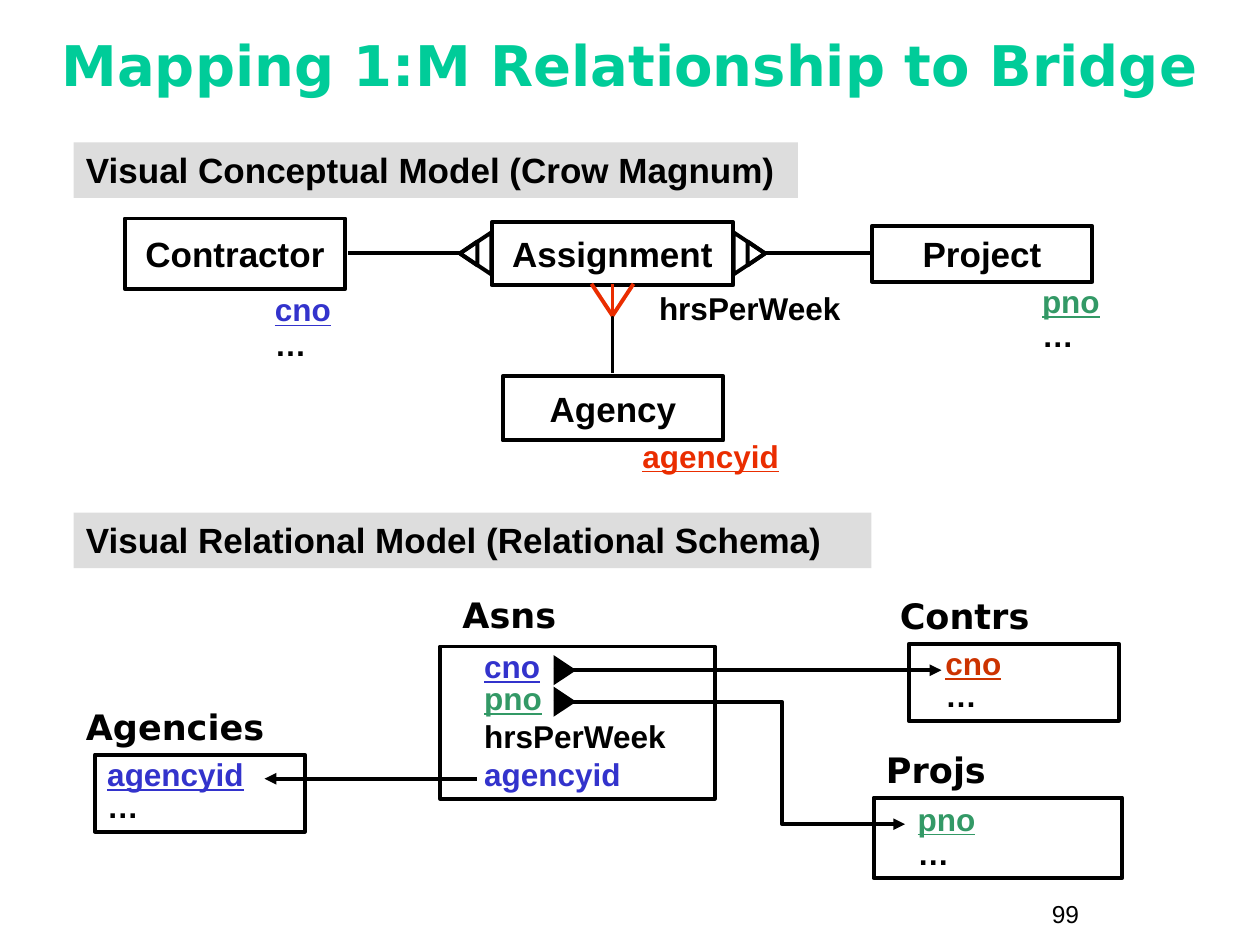
from dataclasses import dataclass

from lxml import etree
from pptx import Presentation
from pptx.dml.color import RGBColor
from pptx.enum.shapes import MSO_CONNECTOR, MSO_SHAPE
from pptx.enum.text import MSO_ANCHOR, MSO_AUTO_SIZE, PP_ALIGN
from pptx.oxml.ns import qn
from pptx.util import Pt

RECTANGLE, TRIANGLE = MSO_SHAPE.RECTANGLE, MSO_SHAPE.ISOSCELES_TRIANGLE
STRAIGHT, ELBOW = MSO_CONNECTOR.STRAIGHT, MSO_CONNECTOR.ELBOW
TOP, MIDDLE = MSO_ANCHOR.TOP, MSO_ANCHOR.MIDDLE
LEFT, CENTER = PP_ALIGN.LEFT, PP_ALIGN.CENTER
TITLE_ONLY = 5


@dataclass(frozen=True)
class Theme:
    """Colours, fonts, type sizes and line width of the slide."""
    title: str = "00CC99"
    ink: str = "000000"
    band: str = "DDDDDD"
    blue: str = "3333CC"
    green: str = "339966"
    red: str = "EA2D00"
    brick: str = "CC3300"
    body_font: str = "Arial"
    display_font: str = "DejaVu Sans"
    title_size: int = 32
    heading_size: int = 20
    attribute_size: int = 18
    number_size: int = 14
    stroke: float = 2.25


THEME = Theme()


def rgb(color):
    """Turn a hex string into a colour."""
    return RGBColor.from_string(color)


def write(frame, paragraphs, size=THEME.attribute_size, font=THEME.body_font, bold=True,
          align=LEFT, anchor=TOP, spacing=1.0, indent=0, wrap=True):
    """Fill a frame with paragraphs, each a list of (text, colour, underlined) runs."""
    frame.auto_size = MSO_AUTO_SIZE.NONE
    frame.word_wrap = wrap
    frame.vertical_anchor = anchor
    frame.margin_left, frame.margin_right = Pt(7.2 + indent), Pt(7.2)
    frame.margin_top = frame.margin_bottom = Pt(3.6)
    for index, runs in enumerate(paragraphs):
        paragraph = frame.add_paragraph() if index else frame.paragraphs[0]
        paragraph.alignment = align
        paragraph.line_spacing = spacing
        for text, color, underlined in runs:
            run = paragraph.add_run()
            run.text = text.rstrip("\n")
            run.font.name, run.font.size = font, Pt(size)
            run.font.bold, run.font.underline = bold, underlined
            run.font.color.rgb = rgb(color)
            if text.endswith("\n"):
                paragraph.add_line_break()


def text_box(slide, box, paragraphs, **text_format):
    """Place a text box and write in it."""
    area = slide.shapes.add_textbox(*map(Pt, box))
    write(area.text_frame, paragraphs, **text_format)


def shape(slide, kind, box, fill=None, line=None):
    """Place a preset shape with an optional fill and outline."""
    item = slide.shapes.add_shape(kind, *map(Pt, box))
    item.shadow.inherit = False
    if fill:
        item.fill.solid()
        item.fill.fore_color.rgb = rgb(fill)
    else:
        item.fill.background()
    if line:
        item.line.color.rgb = rgb(line)
        item.line.width = Pt(THEME.stroke)
    else:
        item.line.fill.background()
    return item


def link(slide, start, end, color=THEME.ink, arrow=False, bend=None):
    """Join two points, bending at a share of the width if one is given."""
    connector = slide.shapes.add_connector(ELBOW if bend else STRAIGHT, *map(Pt, start + end))
    connector.line.color.rgb = rgb(color)
    connector.line.width = Pt(THEME.stroke)
    properties = connector._element.spPr
    if arrow:
        etree.SubElement(properties.find(qn("a:ln")), qn("a:tailEnd"), type="triangle")
    if bend:
        guides = properties.find(qn("a:prstGeom")).get_or_add_avLst()
        etree.SubElement(guides, qn("a:gd"), name="adj1", fmla=f"val {round(bend * 100000)}")
    etree.SubElement(properties, qn("a:effectLst"))


def side_triangle(slide, center, base, height, direction, **paint):
    """Place a triangle pointing right (1) or left (-1) around a centre."""
    x, y = center
    triangle = shape(slide, TRIANGLE, (x - base / 2, y - height / 2, base, height), **paint)
    triangle.rotation = 90 * direction % 360


def crows_foot(slide, tip, direction):
    """Draw a double triangle whose apexes meet near a tip."""
    x, y = tip
    for base, height in ((24, 18), (13.7, 10)):
        center = (x - direction * height / 2, y)
        side_triangle(slide, center, base, height, direction, line=THEME.ink)


def heading(slide, box, caption):
    """Place a grey section heading."""
    band = shape(slide, RECTANGLE, box, fill=THEME.band)
    write(band.text_frame, [[(caption, THEME.ink, False)]], size=THEME.heading_size)


def entity(slide, box, name):
    """Place an outlined entity with its name in the middle."""
    frame = shape(slide, RECTANGLE, box, line=THEME.ink).text_frame
    write(frame, [[(name, THEME.ink, False)]], size=THEME.heading_size,
          align=CENTER, anchor=MIDDLE, wrap=False)


def relation(slide, box, name, paragraphs, label_shift=(-12.2, -31.7), **text_format):
    """Place a relation with its name above and return its text frame."""
    left, top, width, _ = box
    label = (left + label_shift[0], top + label_shift[1], width + 35, 31.7)
    text_box(slide, label, [[(name, THEME.ink, False)]],
             size=THEME.heading_size, font=THEME.display_font)
    frame = shape(slide, RECTANGLE, box, line=THEME.ink).text_frame
    write(frame, paragraphs, **text_format)
    return frame


def conceptual_model(slide, left, top, width):
    """Draw the conceptual model from its top left corner."""
    heading(slide, (left, top, width, 31.7), "Visual Conceptual Model (Crow Magnum)")
    more = [("…", THEME.ink, False)]
    for name, x, y, w, h in (("Contractor", 29.3, 43.5, 126, 40.3),
                             ("Project", 456.2, 47.9, 126, 31.7),
                             ("Agency", 245.3, 133.6, 126, 36.7),
                             ("Assignment", 239, 45.6, 138, 36)):
        entity(slide, (left + x, top + y, w, h), name)
    for x, y, w, paragraphs in (
            (327.5, 82.8, 132, [[("hrsPerWeek", THEME.ink, False)]]),
            (108, 83.5, 90, [[("cno", THEME.blue, True)], more]),
            (546.4, 78.5, 72, [[("pno", THEME.green, True)], more]),
            (318, 167, 108, [[("agencyid", THEME.red, True)]])):
        text_box(slide, (left + x, top + y, w, 6.8 + 19.4 * len(paragraphs)),
                 paragraphs, spacing=0.9)
    axis = top + 63.4
    for outer, tip, direction in ((156.8, 220.8, -1), (455.2, 395.2, 1)):
        link(slide, (left + outer, axis), (left + tip, axis))
        crows_foot(slide, (left + tip, axis), direction)
    stem, joint, edge = left + 308, top + 99, top + 80.8
    link(slide, (stem, joint), (stem, top + 132))
    for spread in (-12, 0, 12):
        link(slide, (stem, joint), (stem + spread, edge), color=THEME.red)


def relational_model(slide, left, top, width):
    """Draw the relational schema from its top left corner."""
    heading(slide, (left, top, width, 31.7), "Visual Relational Model (Relational Schema)")
    more = ("…", THEME.ink, False)
    relation(slide, (left + 12.2, top + 138.3, 120, 44), "Agencies",
             [[("agencyid\n", THEME.blue, True), more]], spacing=0.85)
    assignments = relation(
        slide, (left + 209.5, top + 76.4, 157, 87), "Asns",
        [[("cno", THEME.blue, True)],
         [("pno", THEME.green, True)],
         [("hrsPerWeek\n", THEME.ink, False), ("agencyid", THEME.blue, False)]],
        label_shift=(5.7, -33.9), spacing=0.85, indent=18)
    assignments.paragraphs[2].line_spacing = 1.0
    relation(slide, (left + 457.2, top + 162.8, 142, 46), "Projs",
             [[("pno", THEME.green, True)], [more]],
             label_shift=(0, -31.7), spacing=0.9, indent=18)
    relation(slide, (left + 477.3, top + 74.9, 120, 44), "Contrs",
             [[("cno\n", THEME.brick, True), more]], spacing=0.85, indent=13.7)
    link(slide, (left + 230.4, top + 152), (left + 109.2, top + 152), arrow=True)
    for y, end, bend in ((90, (496, 90), None), (108, (475.2, 178), 0.65)):
        link(slide, (left + 274.3, top + y), (left + end[0], top + end[1]),
             arrow=True, bend=bend)
        side_triangle(slide, (left + 280.8, top + y), 17.3, 13, 1, fill=THEME.ink)


def title_and_number(slide):
    """Format the title and place the slide number."""
    title = slide.shapes.title
    title.left, title.top, title.width, title.height = map(Pt, (24, 6.5, 672, 60))
    write(title.text_frame, [[("Mapping 1:M Relationship to Bridge", THEME.title, False)]],
          size=THEME.title_size, font=THEME.display_font, align=CENTER, anchor=MIDDLE)
    text_box(slide, (594, 510, 66, 24.5), [[("99", THEME.ink, False)]],
             size=THEME.number_size, bold=False)


def main():
    """Build and save the slide."""
    deck = Presentation()
    deck.slide_width, deck.slide_height = Pt(720), Pt(540)
    slide = deck.slides.add_slide(deck.slide_layouts[TITLE_ONLY])
    title_and_number(slide)
    conceptual_model(slide, 42, 81.4, 414)
    relational_model(slide, 42, 293, 456)
    deck.save("out.pptx")


if __name__ == "__main__":
    main()
